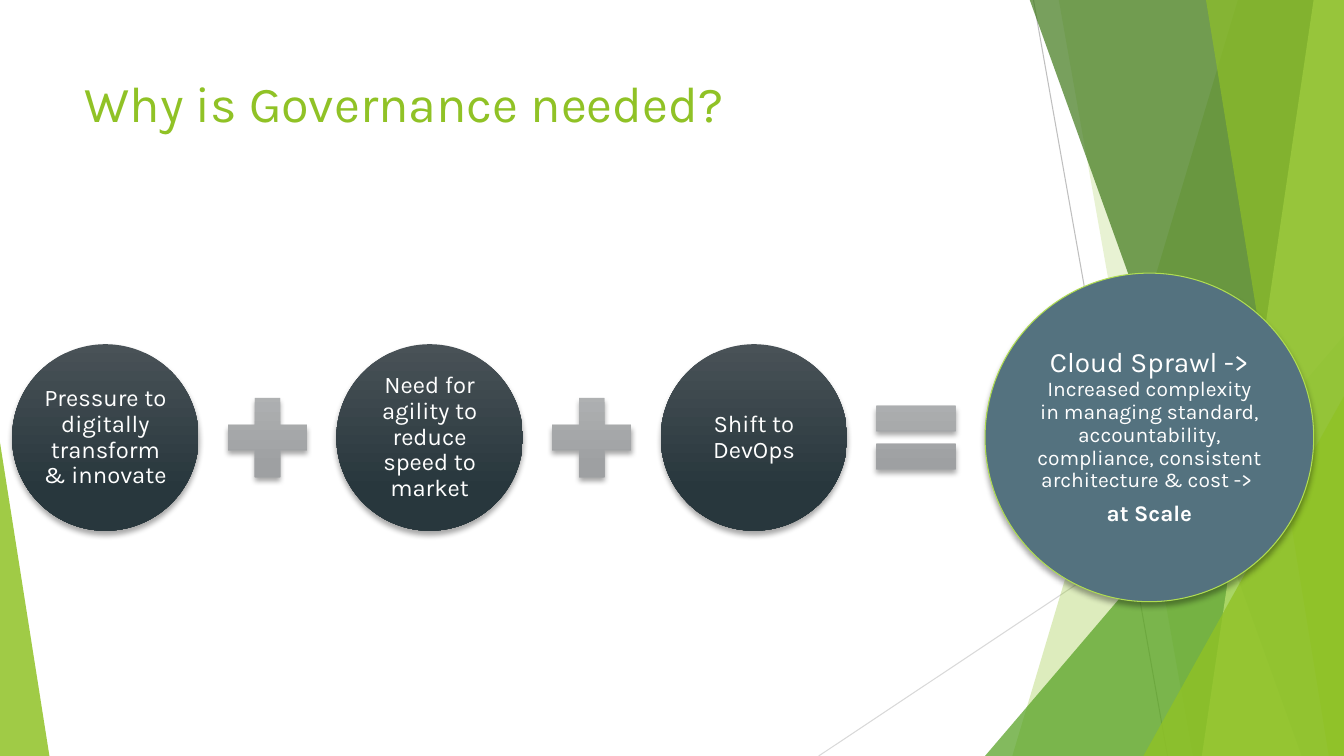
import pptx
import pptx.util
import pptx.dml.color
import pptx.enum.shapes
import pptx.enum.text
import pptx.oxml
from pptx.util import Inches, Pt

SHAPE = pptx.enum.shapes.MSO_SHAPE
ALIGN = pptx.enum.text.PP_ALIGN
ANCHOR = pptx.enum.text.MSO_ANCHOR
NAMESPACE = 'xmlns:a="http://schemas.openxmlformats.org/drawingml/2006/main"'

WIDTH, HEIGHT, FONT = 13.33, 7.5, "Karla"
TITLE = "Why is Governance needed?"
DRIVERS = [
    ("Pressure to digitally transform & innovate", SHAPE.MATH_PLUS),
    ("Need for agility to reduce speed to market", SHAPE.MATH_PLUS),
    ("Shift to DevOps", SHAPE.MATH_EQUAL),
]
OUTCOME = [
    [("Cloud Sprawl -> ", 20, False),
     ("Increased complexity in managing standard, accountability, "
      "compliance, consistent architecture & cost -> ", 15, False)],
    [("at Scale", 16, True)],
]
RAYS = [
    ((10.25, 0), (11.58, HEIGHT), "BFBFBF"),
    ((WIDTH, 4.03), (8.12, HEIGHT), "D9D9D9"),
]
FACETS = [
    ("band", 12.28, 10.04, "90C226", 30),
    ("band", 10.5, 11.83, "90C226", 20),
    ("triangle", (9.77, 3.33, 3.56, 4.17), 1, "54A021", 72),
    ("band", 10.21, 12.91, "3F7819", 70),
    ("band", 13.03, 11.92, "C0E474", 70),
    ("band", 11.96, 13.18, "90C226", 65),
    ("triangle", (11.34, 3.93, 1.99, 3.57), 1, "90C226", 80),
    ("triangle", (0, 4.39, 0.49, 3.11), 0, "90C226", 85),
]
DRIVER_GRADIENT = ("495257", "28373D")
OPERATOR_GRADIENT = ("B1B3B4", "9EA0A2")

ROW_LEFT, ROW_MIDDLE = 0.12, 4.34
DRIVER_SIZE, OPERATOR_SIZE, OUTCOME_SIZE = 1.85, 1.07, 3.26
OUTCOME_LEFT = 9.77
PITCH = (OUTCOME_LEFT - ROW_LEFT) / len(DRIVERS)
OPERATOR_OFFSET = (DRIVER_SIZE + PITCH - OPERATOR_SIZE) / 2


def rgb(value):
    return pptx.dml.color.RGBColor.from_string(value)


def write(frame, paragraphs, color="FFFFFF", align=ALIGN.CENTER,
          anchor=ANCHOR.MIDDLE, inset=None, spacing=None, after=0):
    frame.word_wrap = True
    frame.auto_size = pptx.enum.text.MSO_AUTO_SIZE.NONE
    frame.vertical_anchor = anchor
    if inset is not None:
        frame.margin_left = frame.margin_right = Inches(inset)
        frame.margin_top = frame.margin_bottom = Inches(inset)
    for index, runs in enumerate(paragraphs):
        paragraph = frame.add_paragraph() if index else frame.paragraphs[0]
        paragraph.alignment = align
        paragraph.line_spacing = spacing
        paragraph.space_before = Pt(0)
        paragraph.space_after = Pt(after)
        for text, size, bold in runs:
            run = paragraph.add_run()
            run.text = text
            run.font.name = FONT
            run.font.size = Pt(size)
            run.font.bold = bold
            run.font.color.rgb = rgb(color)


def add_facet(shapes, kind, place, edge, color, opacity):
    if kind == "band":
        builder = shapes.build_freeform(Inches(place), Inches(-0.01))
        corners = [(WIDTH, -0.01), (WIDTH, HEIGHT), (edge, HEIGHT)]
        builder.add_line_segments([(Inches(x), Inches(y)) for x, y in corners])
        facet = builder.convert_to_shape()
    else:
        facet = shapes.add_shape(SHAPE.ISOSCELES_TRIANGLE, *map(Inches, place))
        facet.adjustments[0] = edge
    facet.shadow.inherit = False
    facet.line.fill.background()
    facet.fill.solid()
    facet.fill.fore_color.rgb = rgb(color)
    tint = facet.fill._xPr.find(".//{*}srgbClr")
    tint.append(pptx.oxml.parse_xml(f'<a:alpha {NAMESPACE} val="{opacity * 1000}"/>'))


def add_term(shapes, preset, left, size, colors):
    term = shapes.add_shape(preset, Inches(left), Inches(ROW_MIDDLE - size / 2),
                            Inches(size), Inches(size))
    if len(colors) == 1:
        term.fill.solid()
        term.fill.fore_color.rgb = rgb(colors[0])
    else:
        term.fill.gradient()
        term.fill.gradient_angle = 270
        for stop, color, position in zip(term.fill.gradient_stops, colors, (0, 0.78)):
            stop.color.rgb = rgb(color)
            stop.position = position
    term.line.fill.background()
    term.shadow.inherit = False
    effects = term._element.spPr.find("{*}effectLst")
    effects.append(pptx.oxml.parse_xml(
        f'<a:outerShdw {NAMESPACE} blurRad="{Pt(4)}" dist="{Pt(3)}" dir="5400000" '
        'rotWithShape="0"><a:srgbClr val="000000"><a:alpha val="35000"/>'
        '</a:srgbClr></a:outerShdw>'))
    return term


def main():
    deck = pptx.Presentation()
    deck.slide_width, deck.slide_height = Inches(WIDTH), Inches(HEIGHT)
    slide = deck.slides.add_slide(deck.slide_layouts[5])
    shapes = slide.shapes

    heading = shapes.title
    heading.left, heading.top = Inches(0.74), Inches(0.67)
    heading.width, heading.height = Inches(9.4), Inches(1.44)
    write(heading.text_frame, [[(TITLE, 36, False)]], color="90C226",
          align=ALIGN.LEFT, anchor=ANCHOR.TOP)

    for start, end, color in RAYS:
        ray = shapes.add_connector(pptx.enum.shapes.MSO_CONNECTOR.STRAIGHT,
                                   *map(Inches, start + end))
        ray.line.color.rgb = rgb(color)
        ray.line.width = Pt(0.75)
        ray._element.spPr.append(pptx.oxml.parse_xml(f"<a:effectLst {NAMESPACE}/>"))
    for facet in FACETS:
        add_facet(shapes, *facet)

    for index, (reason, operator) in enumerate(DRIVERS):
        left = ROW_LEFT + index * PITCH
        driver = add_term(shapes, SHAPE.OVAL, left, DRIVER_SIZE, DRIVER_GRADIENT)
        write(driver.text_frame, [[(reason, 17, False)]], inset=0.02, spacing=0.9)
        add_term(shapes, operator, left + OPERATOR_OFFSET, OPERATOR_SIZE,
                 OPERATOR_GRADIENT)

    outcome = add_term(shapes, SHAPE.OVAL, OUTCOME_LEFT, OUTCOME_SIZE, ["54727F"])
    outcome.line.color.rgb = rgb("B0DD51")
    outcome.line.width = Pt(0.75)
    write(outcome.text_frame, OUTCOME, inset=0.03, spacing=0.9, after=7)

    deck.save("out.pptx")


if __name__ == "__main__":
    main()
